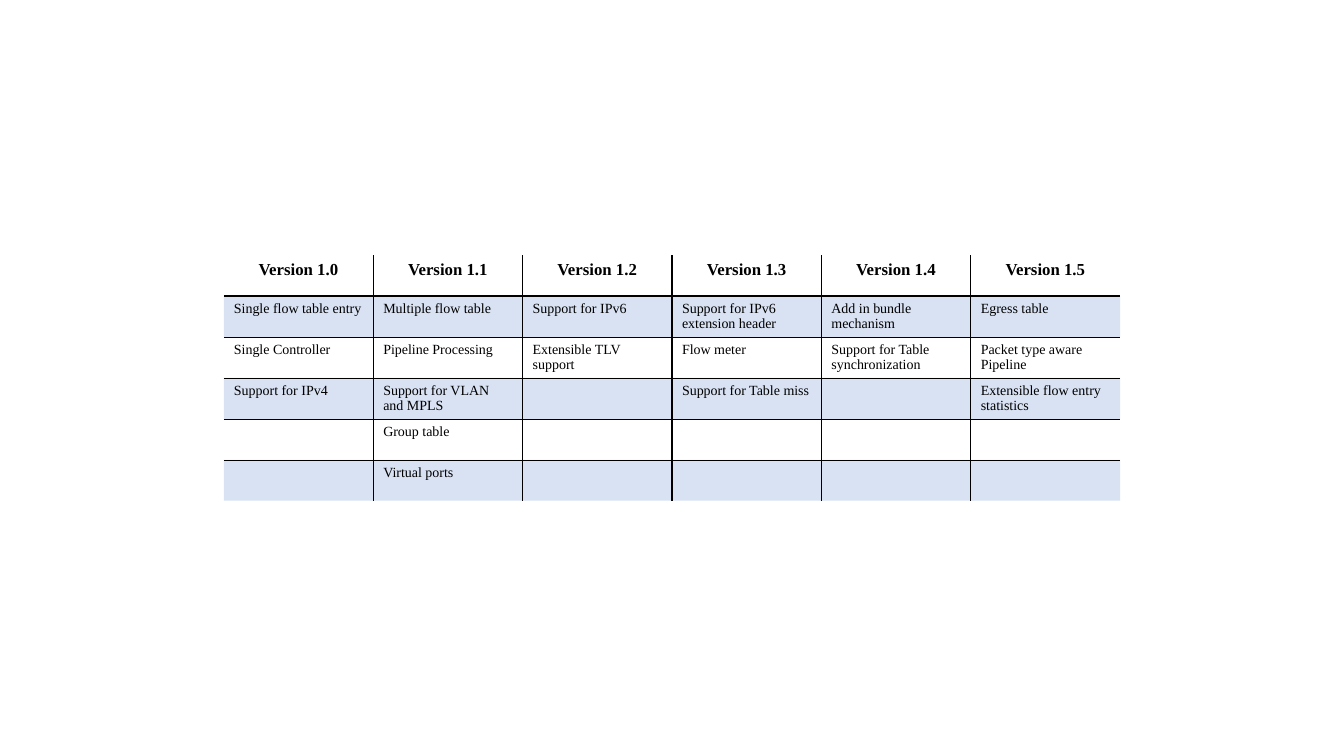
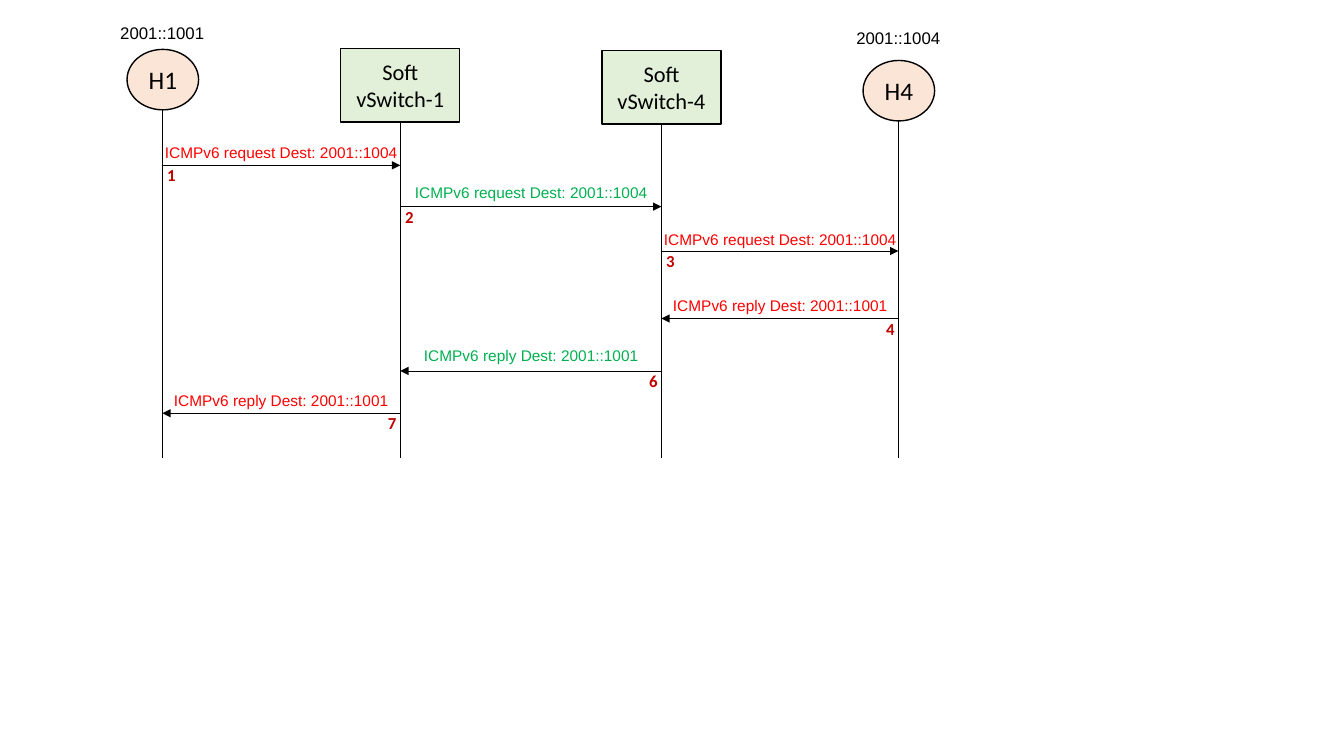
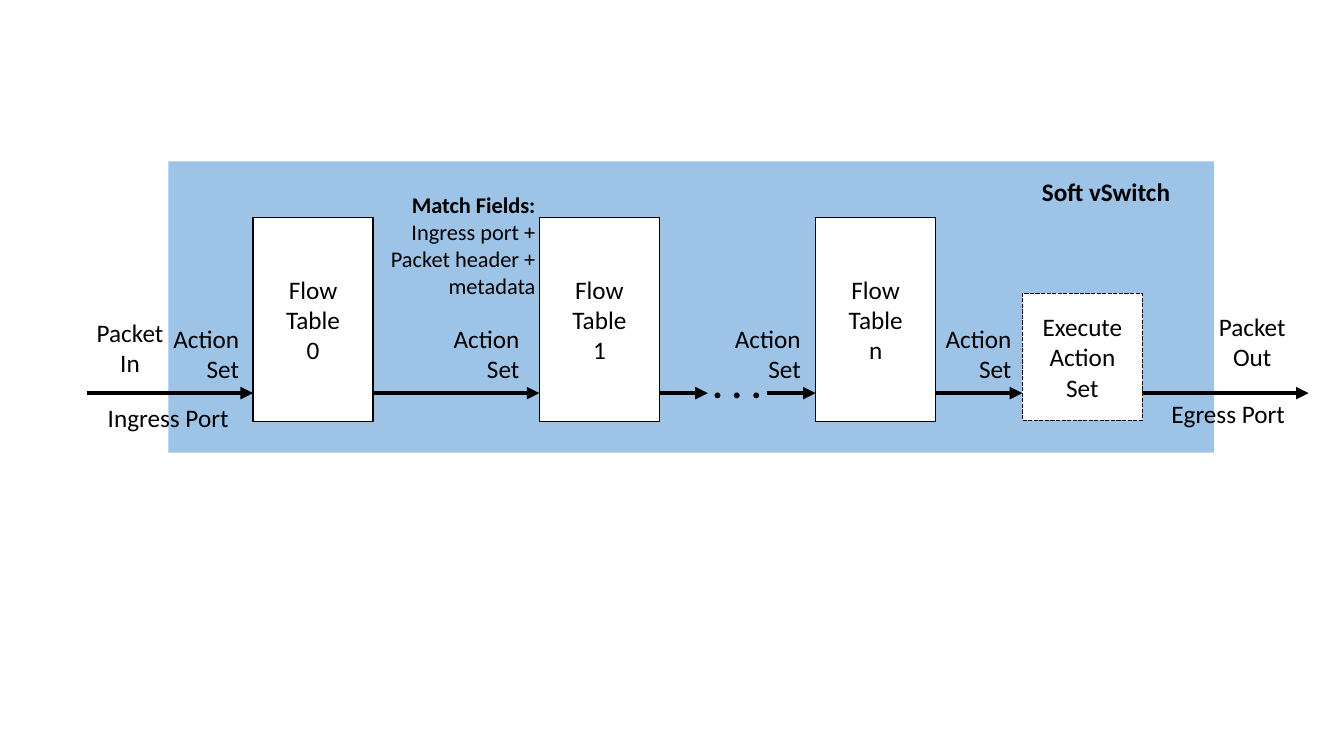
from collections import namedtuple
from dataclasses import dataclass

from lxml import etree
from pptx import Presentation
from pptx import util as u
from pptx.dml import color as dml_color
from pptx.enum import dml, shapes, text
from pptx.oxml import ns

Box = namedtuple("Box", "left top width height")
LEFT, CENTER, RIGHT = text.PP_ALIGN.LEFT, text.PP_ALIGN.CENTER, text.PP_ALIGN.RIGHT


@dataclass(frozen=True)
class Theme:
    ink: str = "000000"
    paper: str = "FFFFFF"
    band: str = "4472C4"
    host: str = "FBE5D6"
    switch: str = "E2F0D9"
    panel: str = "9DC3E6"
    outer_message: str = "FF0000"
    inner_message: str = "00B050"
    step: str = "C00000"
    serif: str = "Times New Roman"
    sans: str = "Arial"
    body: str = "Calibri"
    cell: float = 10
    message: float = 11
    small: float = 12
    medium: float = 16
    large: float = 18
    dots: float = 28
    hairline: float = 0.5
    outline: float = 1
    flow: float = 3


THEME = Theme()
SWITCH_NAME = "Soft vSwitch"

VERSIONS = [
    ("Version 1.0", "Version 1.1", "Version 1.2", "Version 1.3", "Version 1.4", "Version 1.5"),
    ("Single flow table entry", "Multiple flow table", "Support for IPv6",
     "Support for IPv6 extension header", "Add in bundle mechanism", "Egress table"),
    ("Single Controller", "Pipeline Processing", "Extensible TLV support", "Flow meter",
     "Support for Table synchronization", "Packet type aware Pipeline"),
    ("Support for IPv4", "Support for VLAN and MPLS", "", "Support for Table miss", "",
     "Extensible flow entry statistics"),
    ("", "Group table", "", "", "", ""),
    ("", "Virtual ports", "", "", "", ""),
]


def rgb(value):
    return dml_color.RGBColor.from_string(value)


def child(parent, tag, **attributes):
    return etree.SubElement(parent, ns.qn(tag), attributes)


def write(frame, content, size=THEME.large, font=THEME.body, color=THEME.ink,
          align=CENTER, bold_lines=0):
    for index, line in enumerate(content.split("\n")):
        paragraph = frame.paragraphs[0] if index == 0 else frame.add_paragraph()
        paragraph.alignment = align
        run = paragraph.add_run()
        run.text = line
        run.font.size = u.Pt(size)
        run.font.name = font
        run.font.bold = index < bold_lines
        run.font.color.rgb = rgb(color)


def place(box, left, top, width, height):
    return [u.Inches(round(value, 2)) for value in
            (box.left + left, box.top + top, width, height)]


def add_label(slide, position, content, wrap=True, **style):
    frame = slide.shapes.add_textbox(*position).text_frame
    frame.word_wrap = wrap
    write(frame, content, **style)


def add_block(slide, position, fill, content="", kind=shapes.MSO_SHAPE.RECTANGLE,
              outlined=True, dash=None, inset=None, **style):
    shape = slide.shapes.add_shape(kind, *position)
    shape.shadow.inherit = False
    shape.fill.solid()
    shape.fill.fore_color.rgb = rgb(fill)
    if outlined:
        shape.line.color.rgb = rgb(THEME.ink)
        shape.line.width = u.Pt(THEME.outline)
        shape.line.dash_style = dash
    else:
        shape.line.fill.background()
    frame = shape.text_frame
    frame.word_wrap = True
    frame.vertical_anchor = text.MSO_ANCHOR.MIDDLE
    if inset is not None:
        frame.margin_left = frame.margin_right = u.Inches(inset)
    if content:
        write(frame, content, **style)
    return shape


def add_line(slide, box, start, end, weight=THEME.hairline, arrow=True):
    points = [u.Inches(round(value, 2)) for x, y in (start, end)
              for value in (box.left + x, box.top + y)]
    connector = slide.shapes.add_connector(shapes.MSO_CONNECTOR.STRAIGHT, *points)
    connector.line.color.rgb = rgb(THEME.ink)
    connector.line.width = u.Pt(weight)
    properties = connector._element.spPr
    if arrow:
        child(properties.find(ns.qn("a:ln")), "a:tailEnd", type="triangle")
    child(properties, "a:effectLst")
    return connector


def set_borders(cell, **weights):
    properties = cell._tc.get_or_add_tcPr()
    for index, side in enumerate("LRTB"):
        weight = weights[side]
        border = etree.Element(ns.qn(f"a:ln{side}"), w=str(u.Pt(weight)))
        if weight:
            child(child(border, "a:solidFill"), "a:srgbClr", val=THEME.ink)
        else:
            child(border, "a:noFill")
        properties.insert(index, border)


def fill_band(cell):
    cell.fill.solid()
    cell.fill.fore_color.rgb = rgb(THEME.band)
    child(cell._tc.tcPr.find(".//" + ns.qn("a:srgbClr")), "a:alpha", val="20000")


def draw_version_table(slide, box):
    row_count, column_count = len(VERSIONS), len(VERSIONS[0])
    table = slide.shapes.add_table(row_count, column_count, *place(box, 0, 0, *box[2:])).table
    for column in table.columns:
        column.width = u.Inches(box.width / column_count)
    rules = [0, 1] + [0.25] * (row_count - 2) + [0]
    for row_index, values in enumerate(VERSIONS):
        table.rows[row_index].height = u.Inches(box.height / row_count)
        header = row_index == 0
        for column_index, value in enumerate(values):
            cell = table.cell(row_index, column_index)
            cell.margin_bottom = u.Inches(0.03)
            write(cell.text_frame, value, font=THEME.serif, bold_lines=int(header),
                  size=THEME.small if header else THEME.cell,
                  align=CENTER if header else LEFT)
            if row_index % 2:
                fill_band(cell)
            else:
                cell.fill.background()
            set_borders(cell, L=int(column_index > 0), R=int(column_index < column_count - 1),
                        T=rules[row_index], B=rules[row_index + 1])


def draw_message_sequence(slide, box):
    lanes = [0.55, 2.91, 5.5, 7.85]
    for lane, top, name, address, address_top in (
            (lanes[0], 0.31, "H1", "2001::1001", 0), (lanes[3], 0.42, "H4", "2001::1004", 0.05)):
        add_block(slide, place(box, lane - 0.35, top, 0.71, 0.6), THEME.host, name,
                  kind=shapes.MSO_SHAPE.OVAL, inset=0)
        add_line(slide, box, (lane, top + 0.6), (lane, box.height), arrow=False)
        add_label(slide, place(box, lane - 0.55, address_top, 1.1, 0.33), address,
                  size=THEME.small, font=THEME.sans)
    for lane, top, number in ((lanes[1], 0.3, 1), (lanes[2], 0.32, 4)):
        switch = add_block(slide, place(box, lane - 0.59, top, 1.18, 0.73), THEME.switch,
                           f"{SWITCH_NAME}-{number}", size=THEME.medium)
        lifeline = add_line(slide, box, (lane, top + 0.73), (lane, box.height), arrow=False)
        lifeline.begin_connect(switch, 2)

    request, reply = "ICMPv6 request Dest: 2001::1004", "ICMPv6 reply Dest: 2001::1001"
    for step, sender, receiver, y, label_top, message in (
            ("1", 0, 1, 1.46, 1.19, request), ("2", 1, 2, 1.87, 1.59, request),
            ("3", 2, 3, 2.31, 2.05, request), ("4", 3, 2, 2.98, 2.71, reply),
            ("6", 2, 1, 3.5, 3.2, reply), ("7", 1, 0, 3.92, 3.65, reply)):
        start, end = lanes[sender], lanes[receiver]
        between_switches = {sender, receiver} == {1, 2}
        add_line(slide, box, (start, y), (end, y))
        add_label(slide, place(box, (start + end) / 2 - 1.3, label_top, 2.6, 0.28), message,
                  size=THEME.message, font=THEME.sans,
                  color=THEME.inner_message if between_switches else THEME.outer_message)
        step_offset = -0.05 if end > start else -0.22
        add_label(slide, place(box, start + step_offset, y - 0.05, 0.23, 0.3), step,
                  size=THEME.small, color=THEME.step, bold_lines=1, align=LEFT)


def draw_pipeline(slide, box):
    add_block(slide, place(box, 0, 0, *box[2:]), THEME.panel, outlined=False)
    stage_width, flow_y = 1.19, 2.3
    for left, number in ((0.84, "0"), (3.68, "1"), (6.42, "n")):
        add_block(slide, place(box, left, 0.56, stage_width, 2.02), THEME.paper,
                  f"Flow\nTable\n{number}")
    add_block(slide, place(box, 8.47, 1.31, stage_width, 1.26), THEME.paper,
              "Execute Action Set", dash=dml.MSO_LINE.SQUARE_DOT)
    for start, end in ((-0.81, 0.84), (2.03, 3.68), (4.88, 5.35),
                       (5.94, 6.42), (7.61, 8.47), (9.66, 11.31)):
        add_line(slide, box, (start, flow_y), (end, flow_y), weight=THEME.flow)
    for left in (-0.1, 2.68, 5.47, 7.56):
        add_label(slide, place(box, left, 1.56, 0.9, 0.71), "Action Set", align=RIGHT)
    add_label(slide, place(box, -0.7, 2.34, 1.41, 0.4), "Ingress Port", align=LEFT)
    add_label(slide, place(box, 9.85, 2.3, 1.34, 0.4), "Egress Port", wrap=False, align=LEFT)
    add_label(slide, place(box, -0.83, 1.5, 0.9, 0.71), "Packet\nIn")
    add_label(slide, place(box, 10.3, 1.44, 0.9, 0.71), "Packet\nOut")
    add_label(slide, place(box, 8.39, 0.1, 1.82, 0.4), SWITCH_NAME, bold_lines=1)
    add_label(slide, place(box, 5.19, 1.92, 0.9, 0.57), ". . .", size=THEME.dots, bold_lines=1)
    add_label(slide, place(box, 1.84, 0.25, 1.9, 1.18),
              "Match Fields:\nIngress port +\nPacket header +\nmetadata",
              size=THEME.medium, align=RIGHT, bold_lines=1)


def main():
    presentation = Presentation()
    presentation.slide_width, presentation.slide_height = u.Inches(13.33), u.Inches(7.5)
    for draw, box in ((draw_version_table, Box(2.22, 2.53, 8.89, 2.44)),
                      (draw_message_sequence, Box(1.06, 0.18, 8.37, 4.36)),
                      (draw_pipeline, Box(1.67, 1.6, 10.37, 2.89))):
        draw(presentation.slides.add_slide(presentation.slide_layouts[6]), box)
    presentation.save("out.pptx")


if __name__ == "__main__":
    main()
